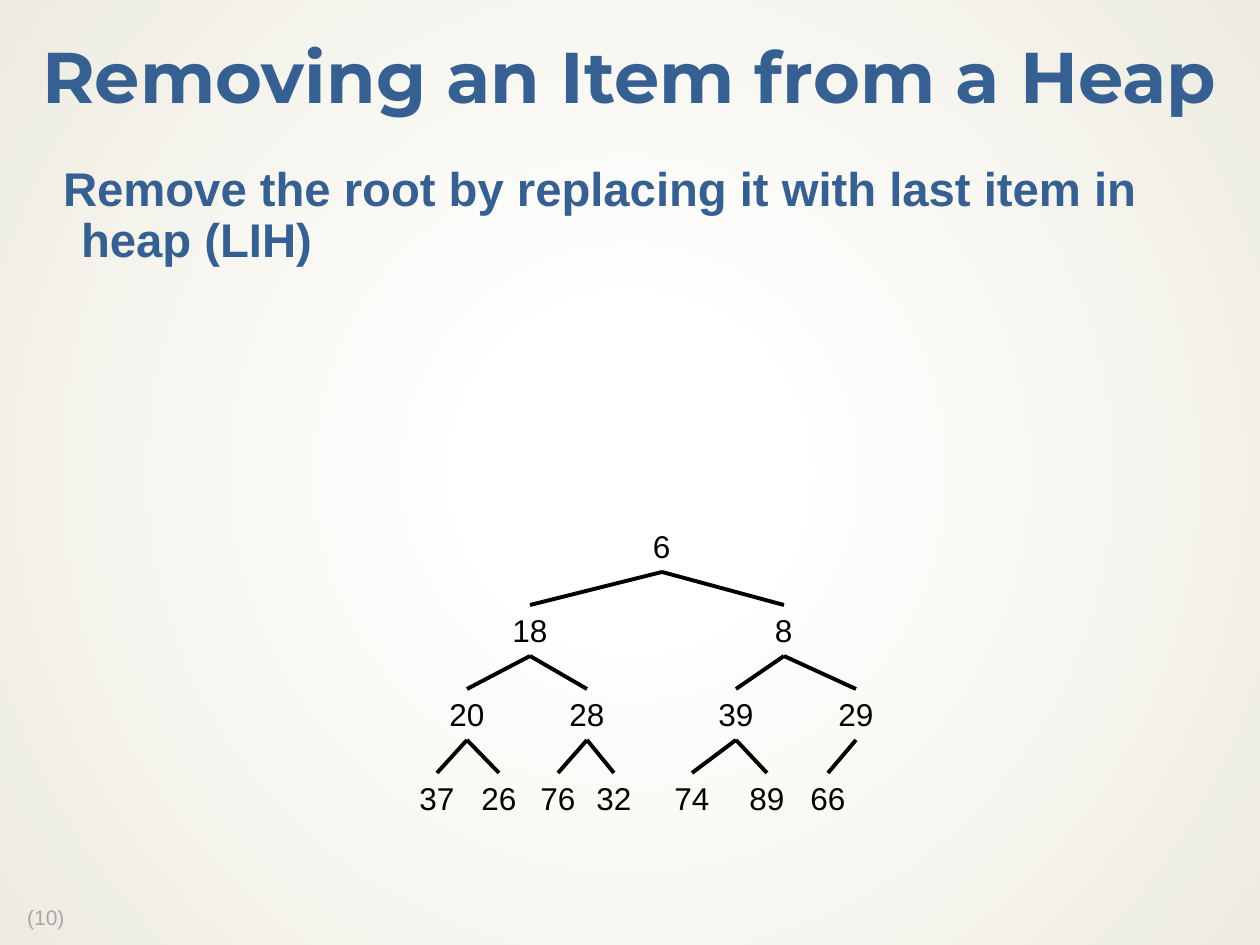
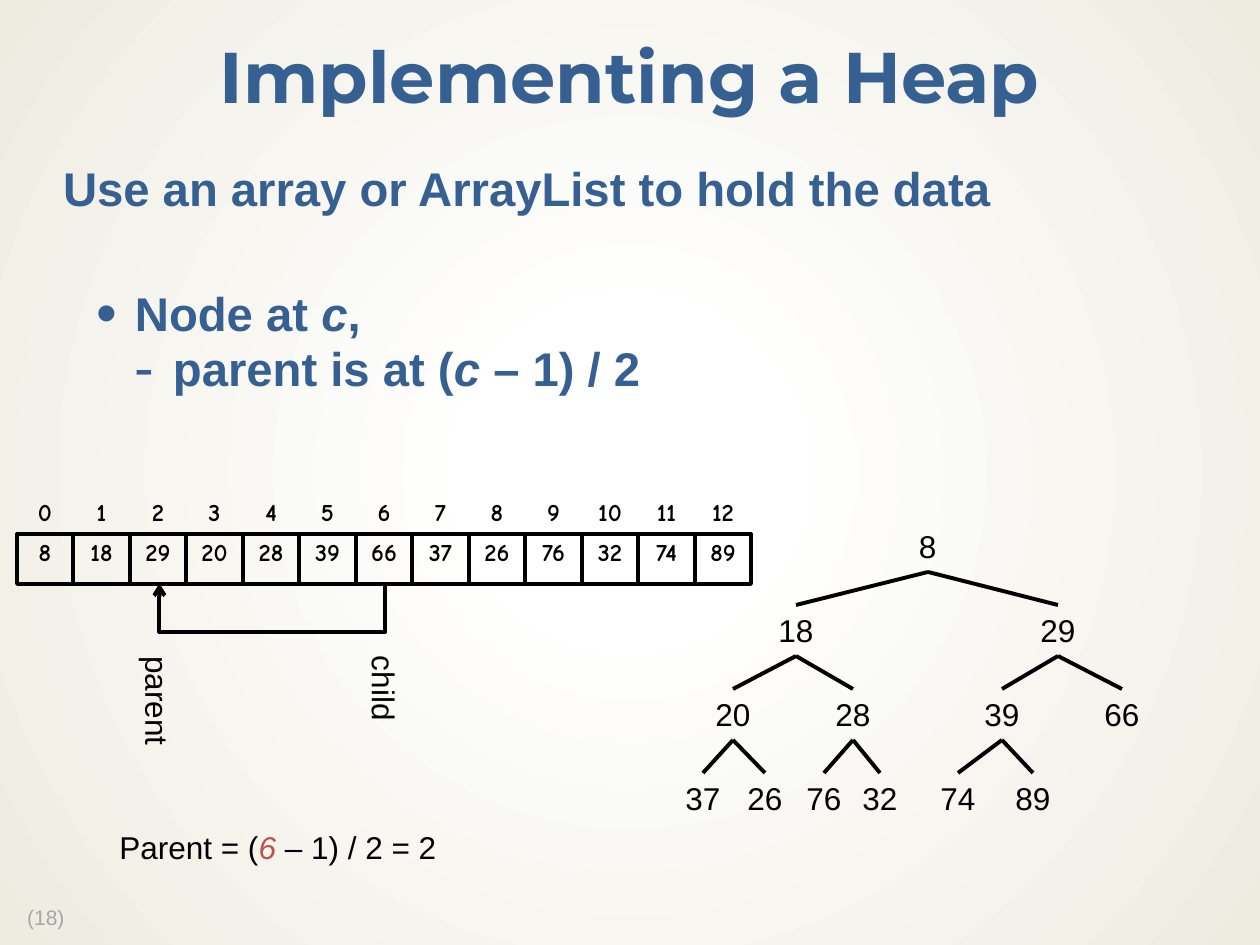
import pptx
import pptx.dml.color
import pptx.enum.shapes
import pptx.enum.text
import pptx.oxml
import pptx.oxml.ns
import pptx.util
import lxml.etree

RGBColor = pptx.dml.color.RGBColor
ALIGN = pptx.enum.text.PP_ALIGN
ANCHOR = pptx.enum.text.MSO_ANCHOR
AUTO_SIZE = pptx.enum.text.MSO_AUTO_SIZE
CONNECTOR = pptx.enum.shapes.MSO_CONNECTOR

# Shared colours and text formats
BLUE = RGBColor(0x37, 0x60, 0x92)
BLACK = RGBColor(0x00, 0x00, 0x00)
RED = RGBColor(0xC0, 0x50, 0x4D)
GREY = RGBColor(0xA6, 0xA6, 0xA6)
WHITE = RGBColor(0xFF, 0xFF, 0xFF)
CREAM = RGBColor(0xEE, 0xEC, 0xE1)

TITLE_FONT = {"name": "Montserrat", "size": pptx.util.Pt(41), "bold": True, "color": BLUE}
BODY_FONT = {"name": "Arial", "size": pptx.util.Pt(27), "bold": True, "color": BLUE}
LABEL_FONT = {"name": "Arial", "size": pptx.util.Pt(18), "color": BLACK}
CELL_FONT = {"name": "Comic Neue", "size": pptx.util.Pt(14), "bold": True, "color": BLACK}
PAGE_FONT = {"name": "Arial", "size": pptx.util.Pt(12), "color": GREY}
CENTRED = {"alignment": ALIGN.CENTER, "line_spacing": 0.9}

# Body styles: level, left margin, hanging indent, bullet, space before
LEAD = (0, 18, 18, None, 0)
BULLET = (1, 72, 38, "•", 42)
DASH = (2, 110, 38, "-", 2)

# Heap nodes in array order: the parent of node i is node (i - 1) // 2
NODE_CENTRES = [662, 530, 784, 467, 587, 736, 856,
                437, 499, 558, 614, 692, 767, 828]
TREE_TOP, LEVEL_STEP, LABEL_HEIGHT = 521, 84, 50
ARRAY_LEFT, ARRAY_WIDTH = 17, 734
INDEX_TOP, CELL_TOP = 494, 534


def px(length):
    return pptx.util.Emu(round(length * 914400 / 126))


def set_values(target, values):
    for name, value in values.items():
        if name == "color":
            target.color.rgb = value
        else:
            setattr(target, name, value)


def add_spans(para, spans, font):
    """Add (text, format changes) pairs that share one font."""
    for text, changes in spans:
        span = para.add_run()
        span.text = text
        set_values(span.font, {**font, **changes})


def set_frame(frame, side, edge, **values):
    set_values(frame, {"margin_left": px(side), "margin_right": px(side),
                       "margin_top": px(edge), "margin_bottom": px(edge), **values})


def place(shape, left, top, width, height):
    set_values(shape, {"left": px(left), "top": px(top),
                       "width": px(width), "height": px(height)})


def add_label(shapes, bounds, spans, font=LABEL_FONT, layout=None, rotation=0, wrap=False):
    box = shapes.add_textbox(*map(px, bounds))
    box.rotation = rotation
    box.text_frame.word_wrap = wrap
    para = box.text_frame.paragraphs[0]
    set_values(para, layout or {})
    add_spans(para, spans, font)


def style_line(connector):
    connector.line.color.rgb = BLACK
    connector.line.width = pptx.util.Pt(2.25)
    properties = connector.element.spPr
    lxml.etree.SubElement(properties, pptx.oxml.ns.qn("a:effectLst"))


def set_background(master):
    """Radial gradient from white to cream behind every slide."""
    master.background.fill.solid()
    solid = master.element.xpath("./p:cSld/p:bg/p:bgPr/a:solidFill")[0]
    gradient = pptx.oxml.parse_xml(
        f'<a:gradFill {pptx.oxml.ns.nsdecls("a")} rotWithShape="1"><a:gsLst>'
        f'<a:gs pos="18000"><a:srgbClr val="{WHITE}"><a:alpha val="53000"/></a:srgbClr></a:gs>'
        f'<a:gs pos="100000"><a:srgbClr val="{CREAM}"/></a:gs></a:gsLst>'
        '<a:path path="circle"><a:fillToRect l="50000" t="50000" r="50000" b="50000"/>'
        '</a:path></a:gradFill>')
    solid.getparent().replace(solid, gradient)


def set_bullet(para, margin, hanging, bullet):
    properties = para._p.get_or_add_pPr()
    properties.set("marL", str(px(margin)))
    properties.set("indent", str(-px(hanging)))
    if bullet is None:
        parts = [("a:buNone", {})]
    else:
        parts = [("a:buSzPct", {"val": "125000"}), ("a:buFont", {"typeface": "Arial"}),
                 ("a:buChar", {"char": bullet})]
    for tag, attributes in parts:
        lxml.etree.SubElement(properties, pptx.oxml.ns.qn(tag), attributes)


def add_page(deck, title, body, number):
    page = deck.slides.add_slide(deck.slide_layouts[1])
    add_label(page.shapes, (9, 901, 71, 35), [(f" ({number})", {})], PAGE_FONT,
              {"line_spacing": 0.9})

    # Title
    heading = page.shapes.title
    place(heading, 0, 21, 1260, 118)
    set_frame(heading.text_frame, 16, 8, vertical_anchor=ANCHOR.MIDDLE,
              auto_size=AUTO_SIZE.NONE)
    para = heading.text_frame.paragraphs[0]
    set_values(para, CENTRED)
    add_spans(para, [(title, {})], TITLE_FONT)

    # Body list
    content = page.placeholders[1]
    place(content, 48, 158, 1165, 712)
    frame = content.text_frame
    set_frame(frame, 15, 8, vertical_anchor=ANCHOR.TOP, auto_size=AUTO_SIZE.NONE)
    for position, (style, spans) in enumerate(body):
        level, margin, hanging, bullet, space = style
        para = frame.add_paragraph() if position else frame.paragraphs[0]
        set_values(para, {"level": level, "line_spacing": 0.9,
                          "space_before": pptx.util.Pt(space)})
        set_bullet(para, margin, hanging, bullet)
        add_spans(para, spans, BODY_FONT)
    return page


def add_tree(page, values, centres):
    """Draw a heap as a binary tree, with an edge from each node to its parent."""
    shapes = page.shapes.add_group_shape().shapes
    for node, (value, centre) in enumerate(zip(values, centres)):
        level = (node + 1).bit_length() - 1
        top = TREE_TOP + level * LEVEL_STEP
        width = 26 + 17 * len(str(value))
        add_label(shapes, (centre - width / 2, top, width, LABEL_HEIGHT), [(str(value), {})])
        if node:
            parent_bottom = top - LEVEL_STEP + LABEL_HEIGHT + 1
            edge = shapes.add_connector(
                CONNECTOR.STRAIGHT, px(centres[(node - 1) // 2]), px(parent_bottom),
                px(centre), px(top))
            style_line(edge)


def add_array(page, values):
    """Draw the heap as a row of cells with their indexes above."""
    shapes = page.shapes.add_group_shape().shapes
    edges = [ARRAY_LEFT + round(ARRAY_WIDTH * step / len(values))
             for step in range(len(values) + 1)]
    for index, value in enumerate(values):
        left, width = edges[index], edges[index + 1] - edges[index]
        cell = shapes.add_shape(pptx.enum.shapes.MSO_SHAPE.RECTANGLE,
                                *map(px, (left, CELL_TOP, width, LABEL_HEIGHT)))
        cell.shadow.inherit = False
        cell.fill.background()
        cell.line.color.rgb = BLACK
        cell.line.width = pptx.util.Pt(2.25)
        cell.text_frame.vertical_anchor = ANCHOR.TOP
        para = cell.text_frame.paragraphs[0]
        set_values(para, CENTRED)
        add_spans(para, [(str(value), {})], CELL_FONT)
        add_label(shapes, (left, INDEX_TOP, width, LABEL_HEIGHT), [(str(index), {})],
                  CELL_FONT, CENTRED, wrap=True)


def add_parent_arrow(page, parent_x, child_x, top, drop):
    """Draw a U-shaped elbow below the array, with its arrowhead at the parent."""
    span = child_x - parent_x
    arrow = page.shapes.add_connector(CONNECTOR.ELBOW, 0, 0, px(1), px(span))
    place(arrow, (parent_x + child_x) / 2, top - span / 2, 1, span)
    style_line(arrow)
    properties = arrow.element.spPr
    frame = properties.find(pptx.oxml.ns.qn("a:xfrm"))
    frame.set("rot", str(270 * 60000))
    frame.set("flipH", "1")
    guides = properties.find(pptx.oxml.ns.qn("a:prstGeom")).get_or_add_avLst()
    lxml.etree.SubElement(guides, pptx.oxml.ns.qn("a:gd"),
                          {"name": "adj1", "fmla": f"val {drop * 100000}"})
    line = properties.find(pptx.oxml.ns.qn("a:ln"))
    lxml.etree.SubElement(line, pptx.oxml.ns.qn("a:headEnd"), {"type": "arrow"})


def main():
    deck = pptx.Presentation()
    deck.slide_width, deck.slide_height = px(1260), px(945)
    set_background(deck.slide_master)
    italic = {"italic": True}

    # Removing an item
    lead = "Remove the root by replacing it with last item in heap (LIH)"
    page = add_page(deck, "Removing an Item from a Heap", [(LEAD, [(lead, {})])], 10)
    add_tree(page, [6, 18, 8, 20, 28, 39, 29, 37, 26, 76, 32, 74, 89, 66], NODE_CENTRES)

    # Array implementation
    page = add_page(deck, "Implementing a Heap", [
        (LEAD, [("Use an array or ArrayList to hold the data", {})]),
        (BULLET, [("Node at ", {}), ("c", italic), (",", {})]),
        (DASH, [("parent is at (", {}), ("c", italic), (" – 1) / 2", {})]),
    ], 18)
    heap = [8, 18, 29, 20, 28, 39, 66, 37, 26, 76, 32, 74, 89]
    centres = [centre + 266 for centre in NODE_CENTRES]
    centres[2] = 1058
    add_tree(page, heap, centres)
    add_array(page, heap)
    add_parent_arrow(page, 159, 385, 584, 49)
    add_label(page.shapes, (100, 677, 116, 50), [("parent", {})], rotation=90)
    add_label(page.shapes, (339, 664, 91, 50), [("child", {})], rotation=90)
    add_label(page.shapes, (107, 822, 345, 50), [
        ("Parent = (", {}), ("6", {"italic": True, "color": RED}), (" – 1) / 2 = 2", {})],
        wrap=True)

    deck.save("out.pptx")


if __name__ == "__main__":
    main()
